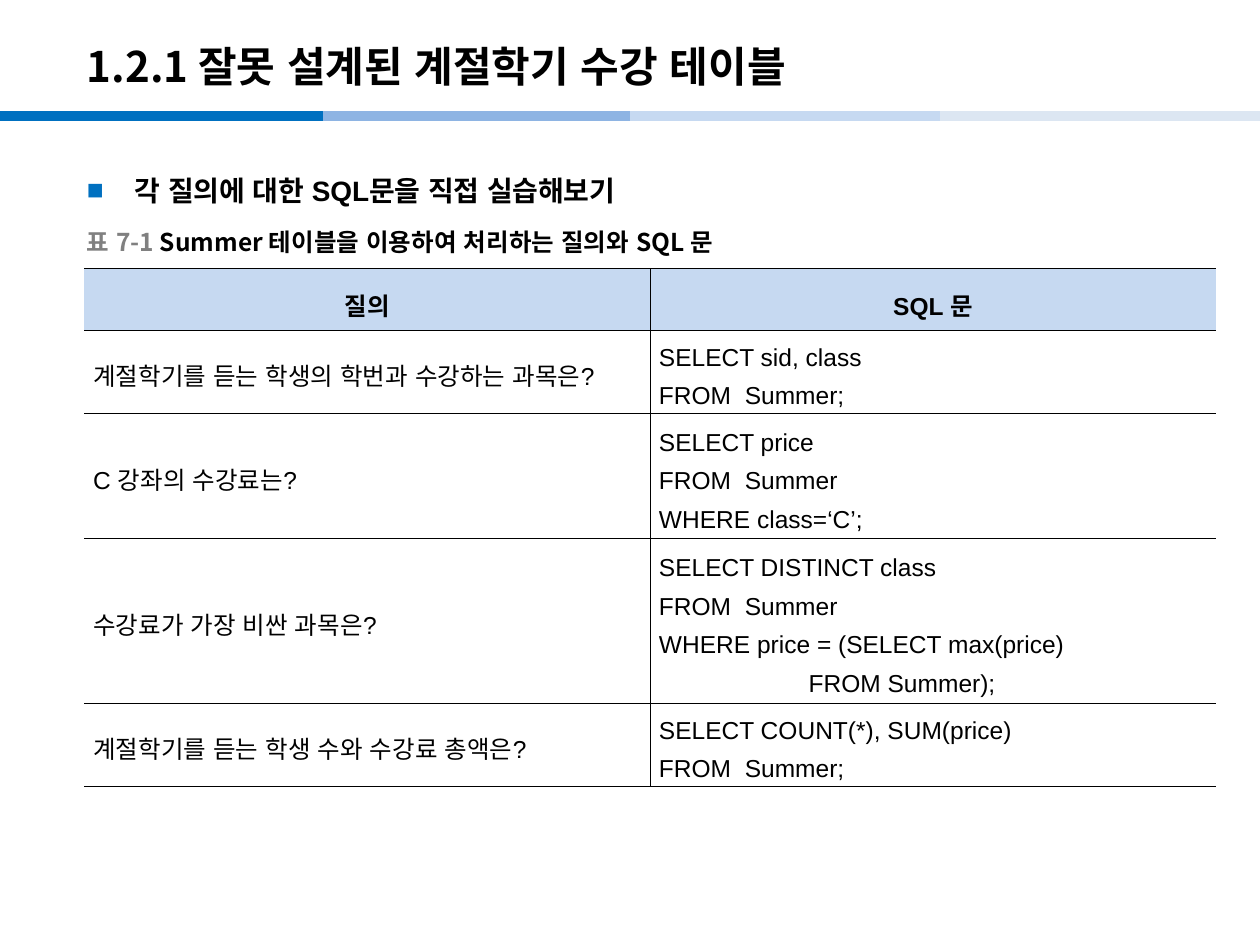
from lxml.etree import SubElement
from pptx import Presentation
from pptx.dml.color import RGBColor
from pptx.enum.shapes import MSO_CONNECTOR
from pptx.enum.text import MSO_ANCHOR, MSO_AUTO_SIZE, PP_ALIGN
from pptx.oxml import parse_xml
from pptx.oxml.ns import nsdecls, qn
from pptx.util import Inches, Pt

COLORS = {
    "text": "000000", "label": "808080", "header": "C6D9F1", "bullet": "0070C0",
    "bar1": "0070C0", "bar2": "8EB4E3", "bar3": "C6D9F1", "bar4": "DCE6F2",
}
KOREAN = "Noto Sans CJK KR"
FORMATS = {
    "title": {"size": Pt(24), "name": KOREAN, "bold": True},
    "body": {"size": Pt(16), "name": "Arial", "bold": True},
    "caption": {"size": Pt(14), "name": KOREAN, "bold": True},
    "header": {"size": Pt(14), "name": "Arial", "bold": True},
    "cell": {"size": Pt(14), "name": "Arial", "bold": False},
}
ROWS = [
    ("질의", "SQL 문"),
    ("계절학기를 듣는 학생의 학번과 수강하는 과목은?",
     "SELECT sid, class\nFROM  Summer;"),
    ("C 강좌의 수강료는?",
     "SELECT price\nFROM  Summer\nWHERE class=‘C’;"),
    ("수강료가 가장 비싼 과목은?",
     "SELECT DISTINCT class\nFROM  Summer\nWHERE price = (SELECT max(price)\n"
     "                      FROM Summer);"),
    ("계절학기를 듣는 학생 수와 수강료 총액은?",
     "SELECT COUNT(*), SUM(price)\nFROM  Summer;"),
]


def add_span(para, text, style, color="text"):
    span = para.add_run()
    span.text = text
    for key, value in FORMATS[style].items():
        setattr(span.font, key, value)
    span.font.color.rgb = RGBColor.from_string(COLORS[color])
    SubElement(span.font._element, qn("a:ea"), typeface="Arial")


def set_borders(cell, visible):
    properties = cell._tc.get_or_add_tcPr()
    for index, side in enumerate(("lnL", "lnR", "lnT", "lnB")):
        fill = "<a:noFill/>"
        if side in visible:
            fill = f'<a:solidFill><a:srgbClr val="{COLORS["text"]}"/></a:solidFill>'
        line = f'<a:{side} {nsdecls("a")} w="{Pt(0.28)}">{fill}</a:{side}>'
        properties.insert(index, parse_xml(line))


deck = Presentation()
deck.slide_width, deck.slide_height = Inches(10), Inches(7.5)
page = deck.slides.add_slide(deck.slide_layouts[1])

for name, left in (("bar1", 0), ("bar2", 2.56), ("bar3", 5), ("bar4", 7.46)):
    bar = page.shapes.add_connector(
        MSO_CONNECTOR.STRAIGHT, Inches(left), Inches(0.92), Inches(left + 2.56), Inches(0.92))
    bar.line.width = Pt(6)
    bar.line.color.rgb = RGBColor.from_string(COLORS[name])
    SubElement(bar._element.spPr, qn("a:effectLst"))

title, body = page.placeholders
caption = page.shapes.add_textbox(Inches(0.59), Inches(1.76), Inches(5.6), Inches(0.31))
for box, left, top, width, height in (
    (title, 0.59, 0.22, 8.27, 0.6),
    (body, 0.59, 1.19, 8.82, 5.98),
):
    box.left, box.top = Inches(left), Inches(top)
    box.width, box.height = Inches(width), Inches(height)

for box in (title, body, caption):
    box.text_frame.auto_size = MSO_AUTO_SIZE.NONE
    box.text_frame.word_wrap = True

title.text_frame.vertical_anchor = MSO_ANCHOR.MIDDLE
para = title.text_frame.paragraphs[0]
para.alignment = PP_ALIGN.LEFT
add_span(para, "1.2.1 잘못 설계된 계절학기 수강 테이블", "title")

para = body.text_frame.paragraphs[0]
para.line_spacing = 1.5
para.space_before = Pt(0)
properties = para._p.get_or_add_pPr()
properties.set("marL", str(Inches(0.38)))
properties.set("indent", str(Inches(-0.38)))
bullet_color = SubElement(properties, qn("a:buClr"))
SubElement(bullet_color, qn("a:srgbClr"), val=COLORS["bullet"])
SubElement(properties, qn("a:buFont"), typeface="Arial")
SubElement(properties, qn("a:buChar"), char="■")
add_span(para, "각 질의에 대한 SQL문을 직접 실습해보기", "body")

caption.text_frame.vertical_anchor = MSO_ANCHOR.MIDDLE
para = caption.text_frame.paragraphs[0]
add_span(para, "표 7-1 ", "caption", "label")
add_span(para, "Summer 테이블을 이용하여 처리하는 질의와 SQL 문", "caption")

table = page.shapes.add_table(
    len(ROWS), 2, Inches(0.67), Inches(2.13), Inches(8.98), Inches(4.11)).table
table.first_row = table.horz_banding = False
for row, height in zip(table.rows, (0.49, 0.66, 0.99, 1.31, 0.66)):
    row.height = Inches(height)

for row_index, texts in enumerate(ROWS):
    is_header = row_index == 0
    for column_index, text in enumerate(texts):
        cell = table.cell(row_index, column_index)
        cell.vertical_anchor = MSO_ANCHOR.MIDDLE
        cell.margin_left = cell.margin_right = Inches(0.07)
        cell.margin_top = cell.margin_bottom = Inches(0.02)
        if is_header:
            cell.fill.solid()
            cell.fill.fore_color.rgb = RGBColor.from_string(COLORS["header"])
        else:
            cell.fill.background()
        set_borders(cell, ("lnT", "lnB", "lnL" if column_index else "lnR"))
        for line_index, line in enumerate(text.split("\n")):
            frame = cell.text_frame
            para = frame.add_paragraph() if line_index else frame.paragraphs[0]
            para.alignment = PP_ALIGN.CENTER if is_header else PP_ALIGN.LEFT
            para.line_spacing = 1.6 if is_header else 1.4
            add_span(para, line, "header" if is_header else "cell")

deck.save("out.pptx")
